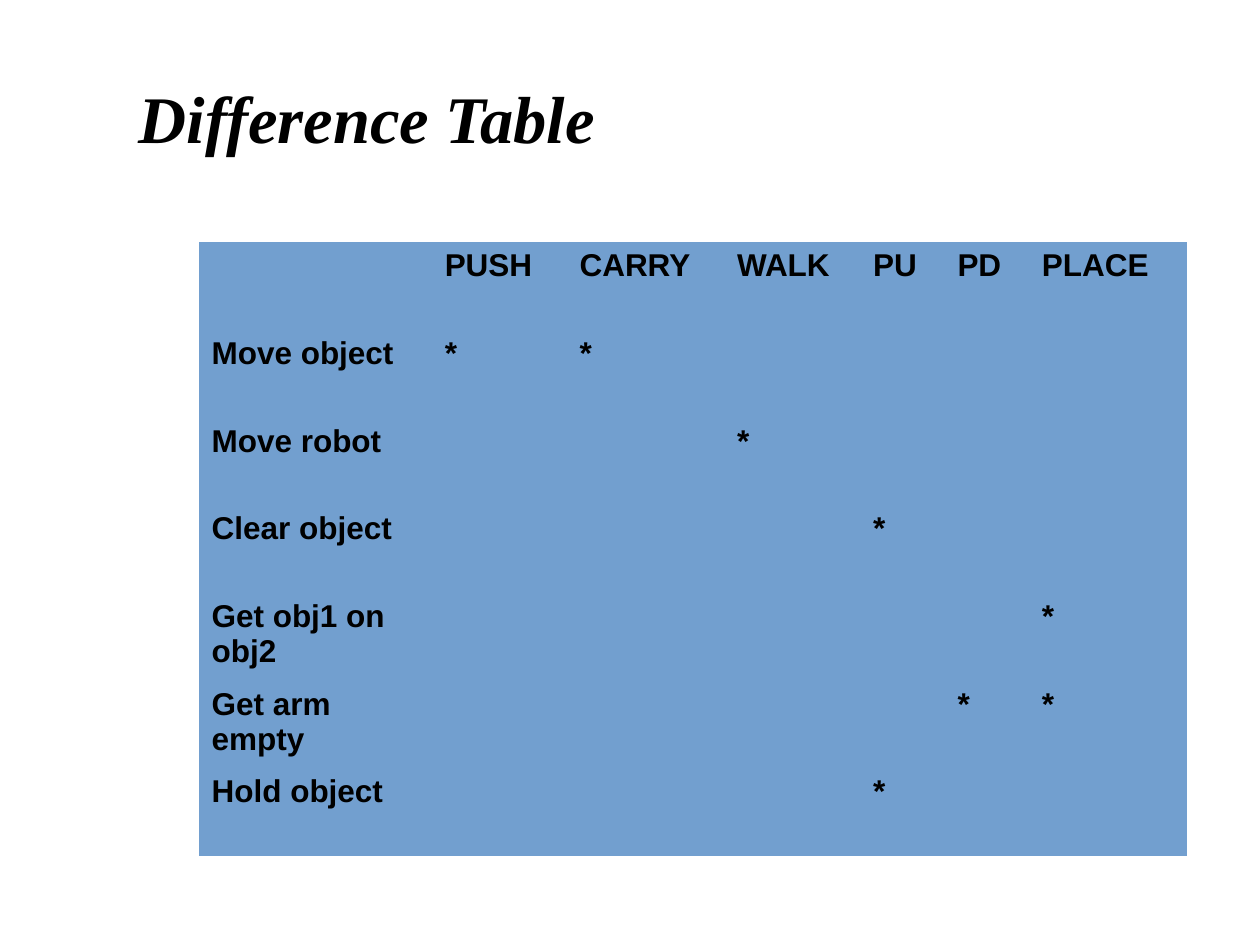
from pptx import Presentation
from pptx.dml.color import RGBColor
from pptx.enum.text import MSO_ANCHOR, PP_ALIGN
from pptx.util import Inches, Pt

TITLE = "Difference Table"
ACTS = ["PUSH", "CARRY", "WALK", "PU", "PD", "PLACE"]
GOALS = {
    "Move object": ["PUSH", "CARRY"],
    "Move robot": ["WALK"],
    "Clear object": ["PU"],
    "Get obj1 on obj2": ["PLACE"],
    "Get arm empty": ["PD", "PLACE"],
    "Hold object": ["PU"],
}
WIDTHS = [1.85, 1.07, 1.25, 1.08, 0.67, 0.67, 1.25]
LEFT, TOP, HIGH = 1.58, 1.92, 4.87
NO_GRID = "{2D5ABB26-0587-4C30-8999-92F81FD0307C}"


def color(code):
    return RGBColor.from_string(code)


def style(para, face, size, slant=False):
    font = para.font
    font.name, font.size = face, Pt(size)
    font.bold, font.italic = True, slant
    font.color.rgb = color("000000")


deck = Presentation()
deck.slide_width, deck.slide_height = Inches(10), Inches(7.5)
slide = deck.slides.add_slide(deck.slide_layouts[5])

title = slide.shapes.title
title.left, title.top = Inches(1), Inches(0.3)
title.width, title.height = Inches(8.5), Inches(1.25)
title.text_frame.text = TITLE
title.text_frame.vertical_anchor = MSO_ANCHOR.MIDDLE
head = title.text_frame.paragraphs[0]
head.alignment = PP_ALIGN.LEFT
style(head, "Times New Roman", 38, True)

rows = [[""] + ACTS]
rows += [[goal] + ["*" if act in acts else "" for act in ACTS]
         for goal, acts in GOALS.items()]
table = slide.shapes.add_table(
    len(rows), len(WIDTHS), Inches(LEFT), Inches(TOP),
    Inches(sum(WIDTHS)), Inches(HIGH)).table
table.first_row = table.horz_banding = False
table._tbl.tblPr[0].text = NO_GRID
for col, width in zip(table.columns, WIDTHS):
    col.width = Inches(width)
for r, row in enumerate(rows):
    for c, text in enumerate(row):
        cell = table.cell(r, c)
        cell.fill.solid()
        cell.fill.fore_color.rgb = color("729FCF")
        cell.text = text
        style(cell.text_frame.paragraphs[0], "Arial", 18)

deck.save("out.pptx")
